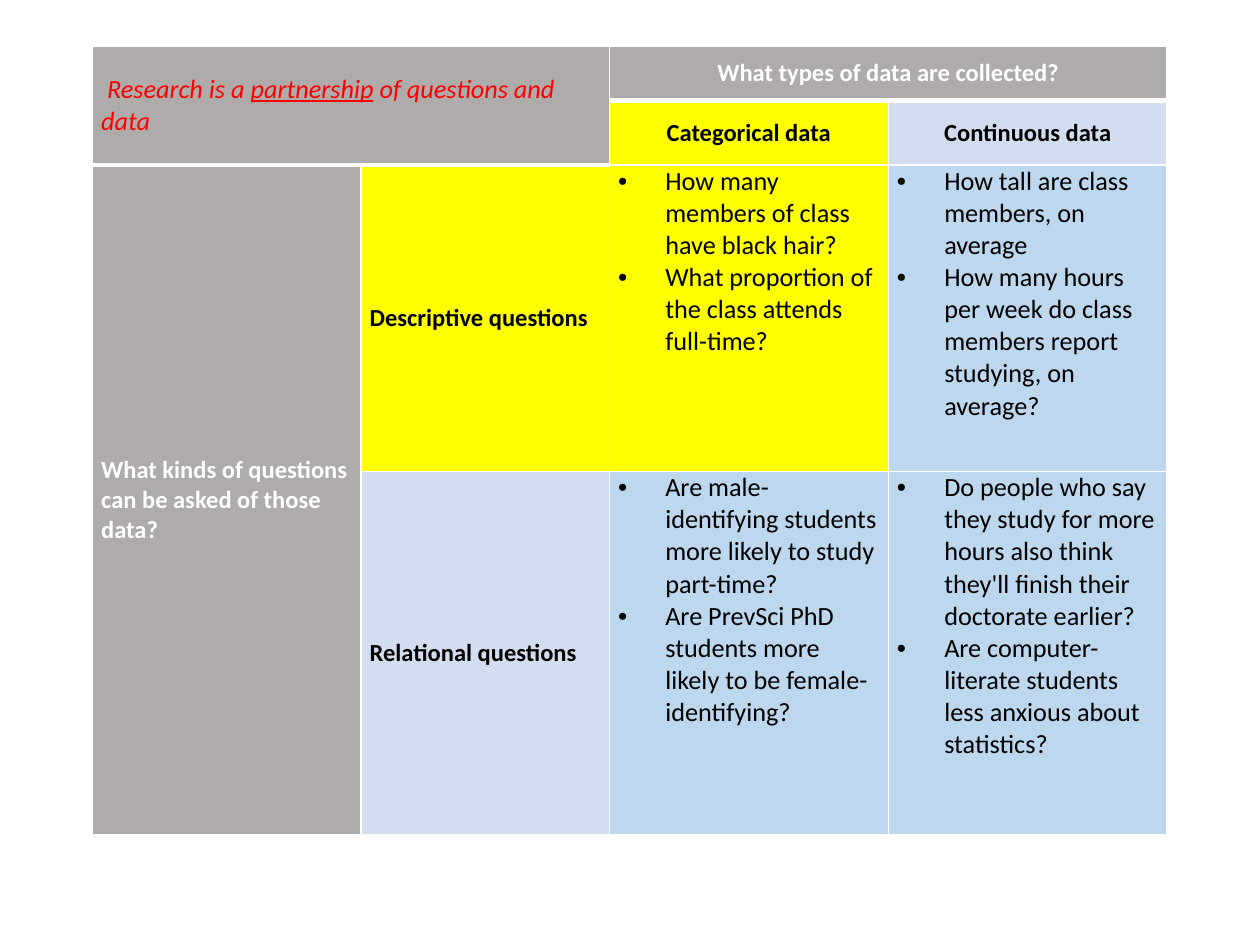
"""Build a slide with a matrix of question kinds against data types."""
from dataclasses import dataclass

from lxml import etree
from pptx import Presentation
from pptx import util as u
from pptx.dml import color
from pptx.enum import text
from pptx.oxml import ns

COLORS = {"white": "FFFFFF", "black": "000000", "red": "FF0000", "grey": "AFABAB",
          "yellow": "FFFF00", "pale": "D2DEEF", "blue": "BDD7EE"}
COLUMN_WIDTHS = (153.4, 142, 159.4, 159.4)
ROW_HEIGHTS = (31.4, 36.7, 175.2, 207.4)
LEFT, TOP = 52.8, 26.2
THIN, THICK = 1, 3
BULLET_INDENT = 27


@dataclass(frozen=True)
class Label:
    row: int
    col: int
    wording: str
    fill: str
    ink: str = "black"
    centered: bool = False
    rows: int = 1
    cols: int = 1
    top: float = THIN
    bottom: float = THIN


@dataclass(frozen=True)
class Examples:
    row: int
    col: int
    questions: tuple[str, ...]
    fill: str = "blue"
    top: float = THIN
    bottom: float = THIN


LABELS = (
    Label(0, 2, "What types of data are collected?", "grey", "white", True,
          cols=2, bottom=THICK),
    Label(1, 2, "Categorical data", "yellow", centered=True, top=THICK),
    Label(1, 3, "Continuous data", "pale", centered=True, top=THICK),
    Label(2, 0, "What kinds of questions can be asked of those data?", "grey", "white",
          rows=2, top=THICK),
    Label(2, 1, "Descriptive questions", "yellow", top=THICK),
    Label(3, 1, "Relational questions", "pale"),
)
EXAMPLES = (
    Examples(2, 2, ("How many members of class have black hair?",
                    "What proportion of the class attends full-time?"), "yellow"),
    Examples(2, 3, ("How tall are class members, on average",
                    "How many hours per week do class members report studying, on average?")),
    Examples(3, 2, ("Are male-identifying students more likely to study part-time?",
                    "Are PrevSci PhD students more likely to be female-identifying?")),
    Examples(3, 3, ("Do people who say they study for more hours also think they'll "
                    "finish their doctorate earlier?",
                    "Are computer-literate students less anxious about statistics?")),
)
MOTTO = Label(0, 0, "", "grey", rows=2, cols=2, bottom=THICK)
MOTTO_PARTS = ((" ", False), ("Research is a ", False), ("partnership", True),
               (" of questions and data", False))


def add_text(paragraph, wording: str, *, size: float = 15, ink: str = "black",
             bold: bool = False, italic: bool = False, underline: bool = False) -> None:
    """Add one formatted run to a paragraph."""
    run = paragraph.add_run()
    run.text = wording
    font = run.font
    font.name, font.size = "Calibri", u.Pt(size)
    font.bold, font.italic, font.underline = bold, italic, underline
    font.color.rgb = color.RGBColor.from_string(COLORS[ink])


def add_bullet(paragraph) -> None:
    """Give a paragraph a hanging bullet."""
    properties = paragraph._p.get_or_add_pPr()
    properties.set("marL", str(u.Pt(BULLET_INDENT)))
    properties.set("indent", str(-u.Pt(BULLET_INDENT)))
    etree.SubElement(properties, ns.qn("a:buFont"), typeface="Arial")
    etree.SubElement(properties, ns.qn("a:buChar"), char="•")


def draw_borders(cell, top: float, bottom: float) -> None:
    """Draw white lines on the four sides of a cell."""
    properties = cell._tc.get_or_add_tcPr()
    for side, width in (("L", THIN), ("R", THIN), ("T", top), ("B", bottom)):
        line = etree.SubElement(properties, ns.qn(f"a:ln{side}"), w=str(u.Pt(width)))
        fill = etree.SubElement(line, ns.qn("a:solidFill"))
        etree.SubElement(fill, ns.qn("a:srgbClr"), val=COLORS["white"])


def prepare_cell(table, part: Label | Examples, rows: int = 1, cols: int = 1):
    """Merge, border and fill the cells of one part and return the first."""
    origin = table.cell(part.row, part.col)
    last_row, last_col = part.row + rows - 1, part.col + cols - 1
    if rows * cols > 1:
        origin.merge(table.cell(last_row, last_col))
    for row in range(part.row, last_row + 1):
        for col in range(part.col, last_col + 1):
            cell = table.cell(row, col)
            draw_borders(cell, part.top, part.bottom)
            cell.fill.solid()
            cell.fill.fore_color.rgb = color.RGBColor.from_string(COLORS[part.fill])
            cell.margin_left = cell.margin_right = u.Pt(5)
            cell.margin_top = cell.margin_bottom = 0
    return origin


def draw_label(table, label: Label):
    """Draw a heading cell and return its paragraph."""
    cell = prepare_cell(table, label, label.rows, label.cols)
    cell.vertical_anchor = text.MSO_ANCHOR.MIDDLE
    paragraph = cell.text_frame.paragraphs[0]
    if label.centered:
        paragraph.alignment = text.PP_ALIGN.CENTER
    if label.wording:
        add_text(paragraph, label.wording, size=14, ink=label.ink, bold=True)
    return paragraph


def draw_examples(table, examples: Examples) -> None:
    """Draw a cell with a bulleted list of questions."""
    frame = prepare_cell(table, examples).text_frame
    for index, question in enumerate(examples.questions):
        paragraph = frame.add_paragraph() if index else frame.paragraphs[0]
        add_bullet(paragraph)
        add_text(paragraph, question)


def main() -> None:
    """Build and save the slide."""
    deck = Presentation()
    deck.slide_width, deck.slide_height = u.Pt(720), u.Pt(540)
    slide = deck.slides.add_slide(deck.slide_layouts[6])
    matrix = slide.shapes.add_table(
        len(ROW_HEIGHTS), len(COLUMN_WIDTHS), u.Pt(LEFT), u.Pt(TOP),
        u.Pt(sum(COLUMN_WIDTHS)), u.Pt(sum(ROW_HEIGHTS))).table
    for column, width in zip(matrix.columns, COLUMN_WIDTHS):
        column.width = u.Pt(width)
    for row, height in zip(matrix.rows, ROW_HEIGHTS):
        row.height = u.Pt(height)
    motto = draw_label(matrix, MOTTO)
    for wording, underline in MOTTO_PARTS:
        add_text(motto, wording, ink="red", italic=True, underline=underline)
    for label in LABELS:
        draw_label(matrix, label)
    for examples in EXAMPLES:
        draw_examples(matrix, examples)
    deck.save("out.pptx")


if __name__ == "__main__":
    main()
